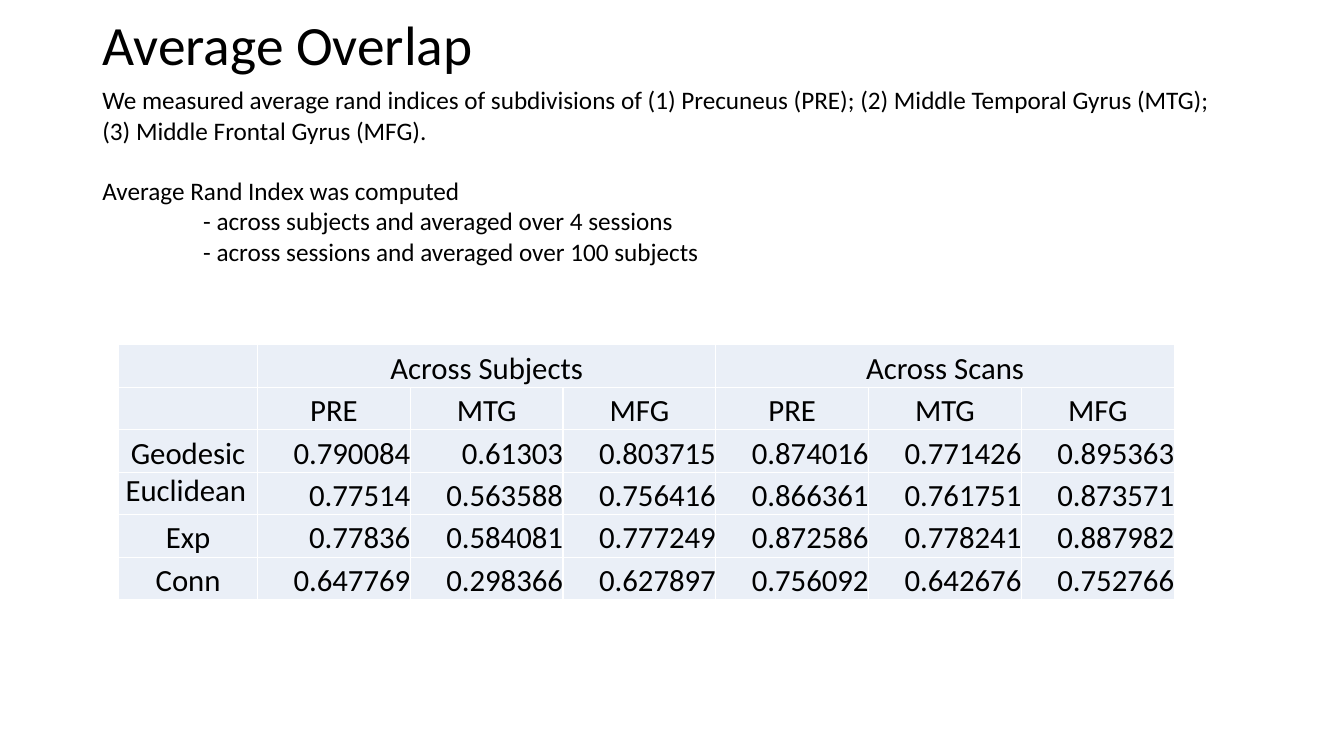
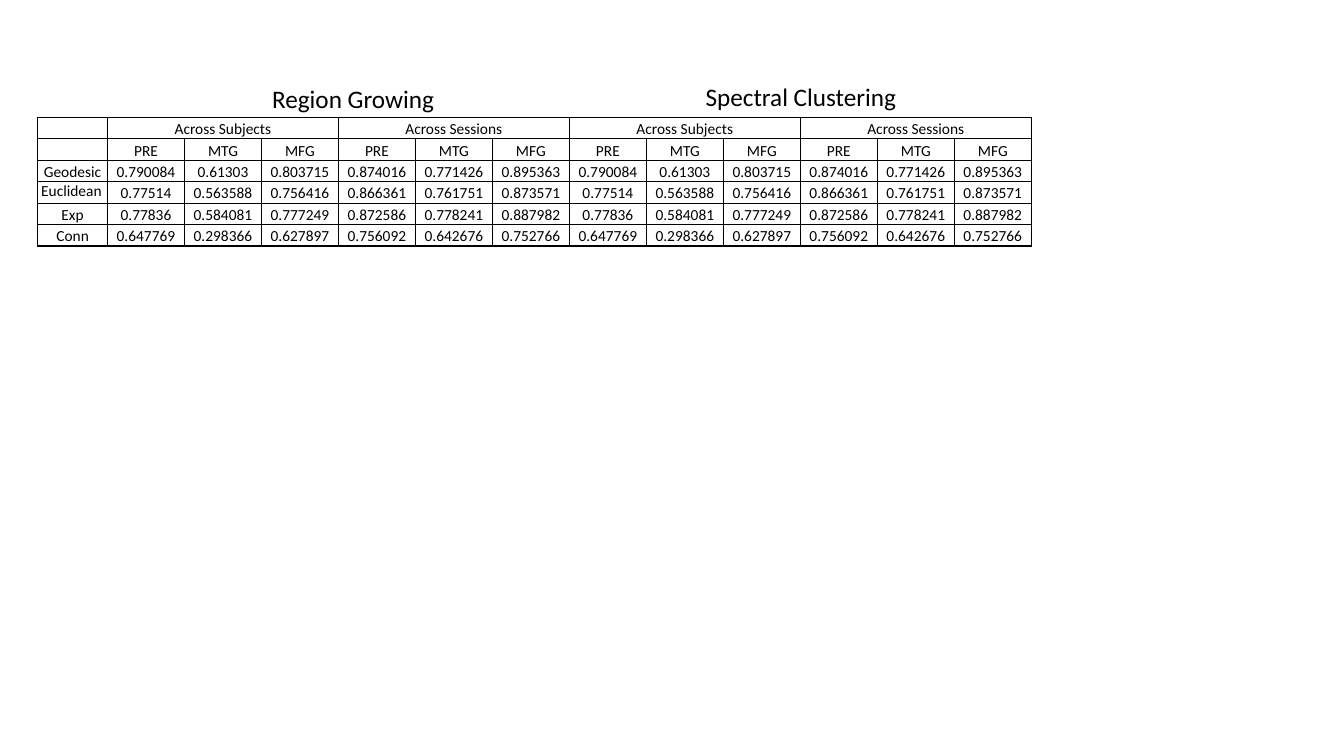
"""Build two slides that compare average Rand indices between parcellation methods."""
import dataclasses
import typing

import lxml.etree
import pptx
import pptx.dml.color
import pptx.enum.text
import pptx.oxml.ns
import pptx.presentation
import pptx.shapes.autoshape
import pptx.slide
import pptx.table
import pptx.text.text
import pptx.util

Cm = pptx.util.Cm
Pt = pptx.util.Pt
Align = pptx.enum.text.PP_ALIGN
Anchor = pptx.enum.text.MSO_ANCHOR
qn = pptx.oxml.ns.qn


@dataclasses.dataclass(frozen=True)
class Theme:
    font: str = "Calibri"
    ink: str = "000000"
    white: str = "FFFFFF"
    pale_blue: str = "EAEFF7"
    title_size: float = 39.6
    body_size: float = 18
    large_cell_size: float = 22
    small_cell_size: float = 11
    border_width: float = 1


@dataclasses.dataclass(frozen=True)
class Line:
    text: str
    indent: float = 0
    space_before: float = 0


@dataclasses.dataclass(frozen=True)
class Label:
    text: str
    left: float
    top: float
    width: float


@dataclasses.dataclass(frozen=True)
class ScoreTable:
    left: float
    top: float
    label_width: float
    score_width: float
    row_height: float
    size: float
    groups: tuple[str, str]
    border: str
    fill: typing.Optional[str] = None
    score_align: Align = Align.CENTER
    labelled: bool = True


THEME = Theme()
REGIONS = ("PRE", "MTG", "MFG")
TOP_LEFT_METHOD = " Euclidean"
SCORES = {
    "Geodesic": ("0.790084", "0.61303", "0.803715", "0.874016", "0.771426", "0.895363"),
    TOP_LEFT_METHOD: ("0.77514", "0.563588", "0.756416", "0.866361", "0.761751", "0.873571"),
    "Exp": ("0.77836", "0.584081", "0.777249", "0.872586", "0.778241", "0.887982"),
    "Conn": ("0.647769", "0.298366", "0.627897", "0.756092", "0.642676", "0.752766"),
}
INTRODUCTION = (
    Line("We measured average rand indices of subdivisions of (1) Precuneus (PRE); "
         "(2) Middle Temporal Gyrus (MTG);"),
    Line("(3) Middle Frontal Gyrus (MFG)."),
    Line("Average Rand Index was computed", space_before=21.6),
    Line("- across subjects and averaged over 4 sessions", indent=2.54),
    Line("- across sessions and averaged over 100 subjects", indent=2.54),
)
OVERLAP_TABLE = ScoreTable(
    left=2.99, top=8.69, label_width=3.5, score_width=3.85, row_height=1.07,
    size=THEME.large_cell_size, groups=("Across Subjects", "Across Scans"),
    border=THEME.white, fill=THEME.pale_blue, score_align=Align.RIGHT,
)
GROWING_TABLE = ScoreTable(
    left=0.95, top=2.96, label_width=1.76, score_width=1.94, row_height=0.54,
    size=THEME.small_cell_size, groups=("Across Subjects", "Across Sessions"),
    border=THEME.ink,
)
CLUSTERING_TABLE = dataclasses.replace(
    GROWING_TABLE,
    left=GROWING_TABLE.left + GROWING_TABLE.label_width + 6 * GROWING_TABLE.score_width,
    labelled=False,
)
METHOD_LABELS = (
    Label("Region Growing", 6.32, 1.98, 5.16),
    Label("Spectral Clustering", 17.25, 1.93, 5.87),
)


def add_span(para: pptx.text.text._Paragraph, text: str, size: float) -> None:
    span = para.add_run()
    span.text = text
    span.font.name = THEME.font
    span.font.size = Pt(size)
    span.font.color.rgb = pptx.dml.color.RGBColor.from_string(THEME.ink)


def add_text(page: pptx.slide.Slide, left: float, top: float, width: float, height: float,
             lines: typing.Sequence[Line], align: Align = Align.LEFT) -> None:
    box = page.shapes.add_textbox(Cm(left), Cm(top), Cm(width), Cm(height))
    frame = box.text_frame
    frame.word_wrap = True
    for index, line in enumerate(lines):
        para = frame.add_paragraph() if index else frame.paragraphs[0]
        para.alignment = align
        para.space_before = Pt(line.space_before)
        if line.indent:
            properties = para._p.get_or_add_pPr()
            properties.set("marL", str(Cm(line.indent)))
            properties.set("indent", "0")
        add_span(para, line.text, THEME.body_size)


def set_title(page: pptx.slide.Slide, text: str) -> None:
    title = page.shapes.title
    title.left, title.top, title.width, title.height = Cm(2.33), Cm(0.56), Cm(29.21), Cm(1.3)
    title.text_frame.vertical_anchor = Anchor.MIDDLE
    para = title.text_frame.paragraphs[0]
    para.alignment = Align.LEFT
    para.line_spacing = 0.9
    add_span(para, text, THEME.title_size)


def set_borders(cell: pptx.table._Cell, colour: str) -> None:
    properties = cell._tc.get_or_add_tcPr()
    for side in ("a:lnL", "a:lnR", "a:lnT", "a:lnB"):
        border = lxml.etree.SubElement(properties, qn(side), w=str(Pt(THEME.border_width)))
        fill = lxml.etree.SubElement(border, qn("a:solidFill"))
        lxml.etree.SubElement(fill, qn("a:srgbClr"), val=colour)


def fill_cell(cell: pptx.table._Cell, text: str, align: Align, table: ScoreTable) -> None:
    set_borders(cell, table.border)
    if table.fill:
        cell.fill.solid()
        cell.fill.fore_color.rgb = pptx.dml.color.RGBColor.from_string(table.fill)
    else:
        cell.fill.background()
    cell.margin_left = cell.margin_right = cell.margin_top = cell.margin_bottom = 0
    at_top_left = text == TOP_LEFT_METHOD
    cell.vertical_anchor = Anchor.TOP if at_top_left else Anchor.BOTTOM
    para = cell.text_frame.paragraphs[0]
    para.alignment = Align.LEFT if at_top_left else align
    if text:
        add_span(para, text, table.size)
    else:
        lxml.etree.SubElement(para._p, qn("a:endParaRPr"), sz=str(int(table.size * 100)))


def table_rows(table: ScoreTable) -> list[list[str]]:
    first, second = table.groups
    rows = [["", first, "", "", second, "", ""], ["", *REGIONS, *REGIONS]]
    rows += [[method, *scores] for method, scores in SCORES.items()]
    return rows if table.labelled else [row[1:] for row in rows]


def add_score_table(page: pptx.slide.Slide, table: ScoreTable) -> None:
    rows = table_rows(table)
    label_count = int(table.labelled)
    widths = [table.label_width] * label_count + [table.score_width] * 6
    frame = page.shapes.add_table(
        len(rows), len(widths), Cm(table.left), Cm(table.top),
        Cm(sum(widths)), Cm(table.row_height * len(rows)),
    )
    grid = frame.table
    grid.first_row = grid.horz_banding = False
    for column, width in zip(grid.columns, widths):
        column.width = Cm(width)
    for row_index, row in enumerate(rows):
        grid.rows[row_index].height = Cm(table.row_height)
        for column_index, text in enumerate(row):
            is_score = row_index > 1 and column_index >= label_count
            align = table.score_align if is_score else Align.CENTER
            fill_cell(grid.cell(row_index, column_index), text, align, table)
    for start in (label_count, label_count + len(REGIONS)):
        grid.cell(0, start).merge(grid.cell(0, start + len(REGIONS) - 1))


def build_overlap(deck: pptx.presentation.Presentation) -> None:
    page = deck.slides.add_slide(deck.slide_layouts.get_by_name("Title Only"))
    set_title(page, "Average Overlap")
    add_score_table(page, OVERLAP_TABLE)
    add_text(page, 2.33, 2.01, 28.9, 5.64, INTRODUCTION)


def build_comparison(deck: pptx.presentation.Presentation) -> None:
    page = deck.slides.add_slide(deck.slide_layouts.get_by_name("Blank"))
    for table in (GROWING_TABLE, CLUSTERING_TABLE):
        add_score_table(page, table)
    for label in METHOD_LABELS:
        add_text(page, label.left, label.top, label.width, 1.02, [Line(label.text)], Align.CENTER)


def main() -> None:
    deck = pptx.Presentation()
    deck.slide_width, deck.slide_height = Cm(33.87), Cm(19.05)
    build_overlap(deck)
    build_comparison(deck)
    deck.save("out.pptx")


if __name__ == "__main__":
    main()
